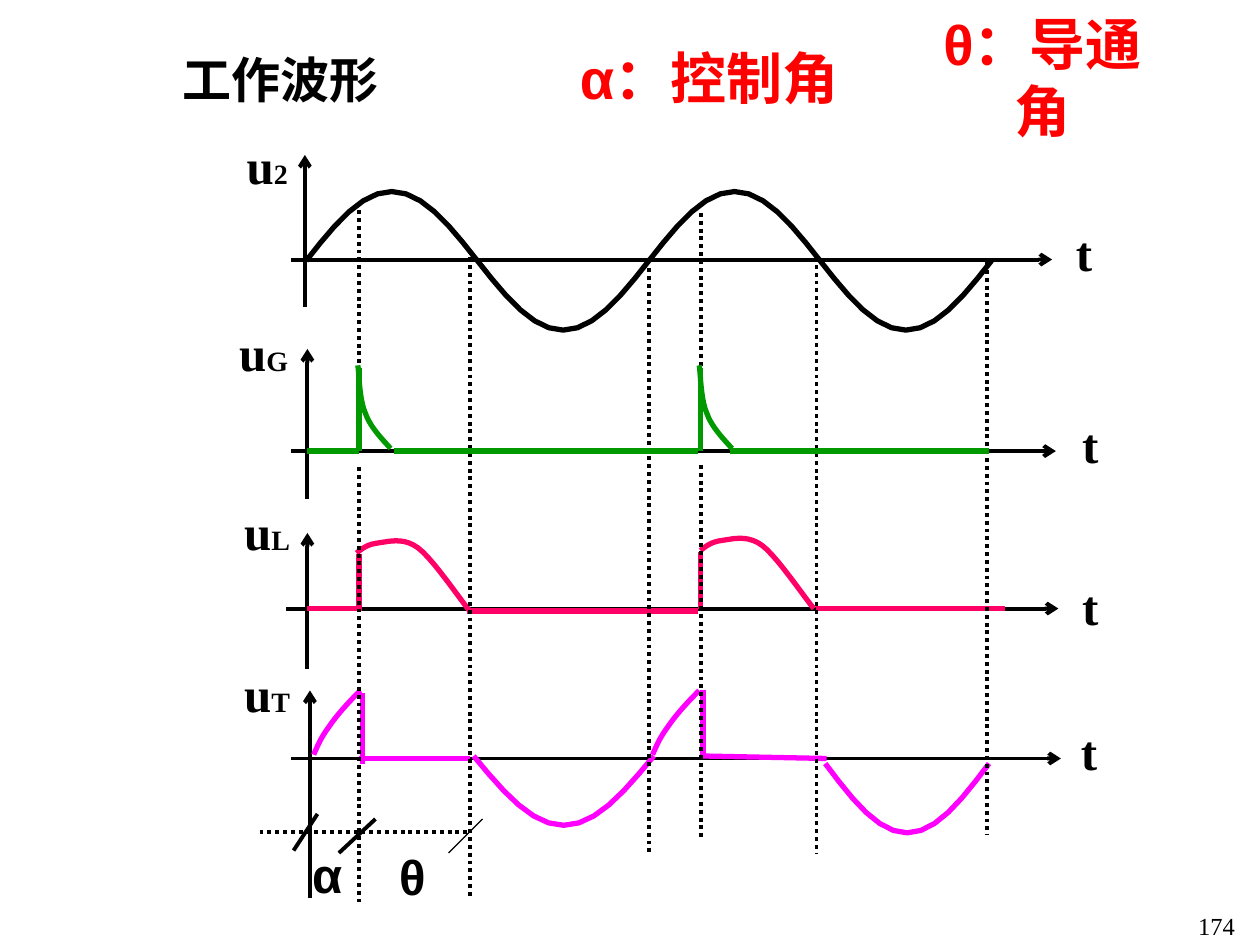
from math import pi, sin

from lxml.etree import SubElement
from pptx import Presentation
from pptx.dml.color import RGBColor
from pptx.enum.dml import MSO_LINE
from pptx.enum.shapes import MSO_CONNECTOR
from pptx.enum.text import MSO_ANCHOR, MSO_AUTO_SIZE, PP_ALIGN
from pptx.oxml.ns import qn
from pptx.util import Inches, Pt

SERIF, SANS = "Times New Roman", "Arial"
BLACK, RED, GREEN, ROSE, MAGENTA = "000000", "FF0000", "009900", "FF0066", "FF00FF"
THIN, AXIS, CURVE = 0.75, 2.25, 3

# Instants on the time axis
START, END = 2.44, 7.85
FIRE_1, FIRE_2 = 2.85, 5.56
PERIOD = FIRE_2 - FIRE_1
ZERO_1, ZERO_2, ZERO_3, ZERO_4 = 3.73, 5.15, 6.48, 7.83
# Baselines of the gate, load and thyristor voltages
GATE, LOAD, THYRISTOR = 3.58, 4.83, 6.02
ANGLE_ROW = 6.6

# subscript, label left and top, axis x, top and bottom, baseline, its left and right, t left and top
AXES = [
    ("2", 1.86, 1.03, 2.42, 1.23, 2.44, 2.06, 2.31, 8.35, 8.44, 1.72),
    ("G", 1.8, 2.51, START, 2.77, 3.96, GATE, 2.31, 8.38, 8.49, 3.24),
    ("L", 1.84, 3.93, START, 4.23, 5.31, LOAD, 2.27, 8.4, 8.49, 4.53),
    ("T", 1.84, 5.22, 2.46, 5.48, 7.13, THYRISTOR, 2.31, 8.42, 8.48, 5.68),
]
# instant, top, bottom
MARKERS = [
    (FIRE_1, 1.67, 2.9), (FIRE_2, 1.69, 2.96), (ZERO_1, 2.04, 7.13),
    (ZERO_2, 2.13, 6.77), (ZERO_3, 2.04, 6.77), (FIRE_1, 3.71, 7.17),
    (FIRE_2, 3.69, 6.67), (ZERO_4, 2.08, 6.63),
]
# Bezier control points, three per segment after the first
LOAD_PULSE = [(2.83, 4.39), (2.88, 4.35), (2.92, 4.32), (3, 4.31), (3.08, 4.3),
              (3.2, 4.26), (3.32, 4.35), (3.44, 4.44), (3.66, 4.77), (3.73, 4.85)]
BLOCKING_RISE = [(2.49, 5.99), (2.52, 5.92), (2.55, 5.85), (2.61, 5.77),
                 (2.67, 5.68), (2.76, 5.58), (2.86, 5.48)]
GATE_DECAY = [(3.1, 3.56), (3.02, 3.47), (2.94, 3.39), (2.9, 3.28),
              (2.85, 3.17), (2.85, 2.95), (2.84, 2.9)]


def color(hex_code):
    return RGBColor.from_string(hex_code)


def add_line(slide, start, end, hex_code=BLACK, width=AXIS, dotted=False, arrow=False):
    connector = slide.shapes.add_connector(
        MSO_CONNECTOR.STRAIGHT, *(Inches(v) for v in (*start, *end)))
    connector.line.color.rgb = color(hex_code)
    connector.line.width = Pt(width)
    if dotted:
        connector.line.dash_style = MSO_LINE.ROUND_DOT
    properties = connector.element.spPr
    if arrow:
        SubElement(properties.find(qn("a:ln")), qn("a:tailEnd"), type="arrow")
    SubElement(properties, qn("a:effectLst"))


def add_curve(slide, points, hex_code):
    start, *rest = [(Inches(x), Inches(y)) for x, y in points]
    builder = slide.shapes.build_freeform(*start)
    builder.add_line_segments(rest, close=False)
    curve = builder.convert_to_shape()
    curve.shadow.inherit = False
    curve.fill.background()
    curve.line.color.rgb = color(hex_code)
    curve.line.width = Pt(CURVE)


def half_wave(left, base, width, height, steps=12):
    """Points of half a sine; a negative height bends it below the base."""
    return [(left + width * i / steps, base - height * sin(pi * i / steps))
            for i in range(steps + 1)]


def bezier(controls, dx=0, dy=0, steps=10):
    """Points along joined cubic segments, moved by dx and dy."""
    points = [controls[0]]
    for first in range(0, len(controls) - 1, 3):
        segment = controls[first:first + 4]
        for i in range(1, steps + 1):
            t = i / steps
            weights = ((1 - t) ** 3, 3 * t * (1 - t) ** 2, 3 * t * t * (1 - t), t ** 3)
            points.append(tuple(sum(w * p[axis] for w, p in zip(weights, segment))
                                for axis in (0, 1)))
    return [(x + dx, y + dy) for x, y in points]


def fill_text(frame, runs, hex_code=BLACK, bold=True, align=PP_ALIGN.LEFT,
              anchor=MSO_ANCHOR.TOP, wrap=False):
    """Write runs given as (text, size, font)."""
    frame.auto_size = MSO_AUTO_SIZE.NONE
    frame.word_wrap = wrap
    frame.vertical_anchor = anchor
    paragraph = frame.paragraphs[0]
    paragraph.alignment = align
    for text, size, font in runs:
        run = paragraph.add_run()
        run.text = text
        run.font.size, run.font.name, run.font.bold = Pt(size), font, bold
        run.font.color.rgb = color(hex_code)


def add_text(slide, box, runs, **style):
    label = slide.shapes.add_textbox(*(Inches(v) for v in box))
    fill_text(label.text_frame, runs, **style)


def add_title(slide):
    title = slide.shapes.title
    title.left, title.top, title.width, title.height = (
        Inches(v) for v in (1.35, 0.34, 2, 0.57))
    fill_text(title.text_frame, [("工作波形", 28, SERIF)])


def add_axes(slide):
    for subscript, left, top, x, high, low, base, begin, end, t_left, t_top in AXES:
        add_line(slide, (x, low), (x, high), arrow=True)
        add_line(slide, (begin, base), (end, base), arrow=True)
        add_text(slide, (left, top, 0.56, 0.57), [("u", 28, SERIF), (subscript, 16, SERIF)])
        add_text(slide, (t_left, t_top, 0.33, 0.57), [("t", 28, SERIF)])


def add_supply_wave(slide):
    for half in range(4):
        height = 0.55 if half % 2 == 0 else -0.55
        add_curve(slide, half_wave(2.43 + 1.36 * half, 2.07, 1.36, height), BLACK)


def add_load_wave(slide):
    for fire, dx, dy in ((FIRE_1, 0, 0), (FIRE_2, 2.73, -0.02)):
        add_curve(slide, bezier(LOAD_PULSE, dx, dy), ROSE)
        add_line(slide, (fire, 4.4 + dy), (fire, 4.85 + dy), ROSE, CURVE)
    for begin, end, y in ((START, 2.83, LOAD), (3.71, 5.54, 4.85), (ZERO_3, 7.98, LOAD)):
        add_line(slide, (begin, y), (end, y), ROSE, CURVE)


def add_thyristor_wave(slide):
    for dx in (0, 2.69):
        add_curve(slide, bezier(BLOCKING_RISE, dx), MAGENTA)
    for start, end in (((2.88, 5.5), (2.88, 6.06)),
                       ((5.58, 5.48), (5.58, THYRISTOR)),
                       ((FIRE_1, THYRISTOR), (ZERO_1, THYRISTOR)),
                       ((5.58, 6), (6.56, THYRISTOR))):
        add_line(slide, start, end, MAGENTA, CURVE)
    add_curve(slide, half_wave(3.76, 6, 1.43, -0.55), MAGENTA)
    add_curve(slide, half_wave(6.55, 6.06, 1.3, -0.55), MAGENTA)


def add_markers(slide):
    for x, top, bottom in MARKERS:
        add_line(slide, (x, top), (x, bottom), dotted=True)


def add_gate_wave(slide):
    for dx in (0, PERIOD):
        add_line(slide, (FIRE_1 + dx, 2.92), (FIRE_1 + dx, GATE), GREEN, CURVE)
        add_curve(slide, bezier(GATE_DECAY, dx), GREEN)
    for begin, end in ((START, FIRE_1), (3.13, 5.54), (5.79, END)):
        add_line(slide, (begin, GATE), (end, GATE), GREEN, CURVE)


def add_angles(slide):
    add_line(slide, (2.06, ANGLE_ROW), (ZERO_1, ANGLE_ROW), dotted=True)
    for start, end, width in (((2.52, 6.46), (2.33, 6.75), AXIS),
                              ((2.98, 6.5), (2.69, 6.77), AXIS),
                              ((3.83, 6.5), (3.56, 6.77), THIN)):
        add_line(slide, start, end, width=width)
    for letter, left, top in (("α", 2.38, 6.65), ("θ", 3.07, 6.67)):
        add_text(slide, (left, top, 0.44, 0.57), [(letter, 28, SANS)])
    for letter, meaning, left, width in (("α", "：控制角", 4.5, 2.26),
                                         ("θ", "：导通角", 7.17, 2.21)):
        add_text(slide, (left, 0.29, width, 0.64),
                 [(letter, 32, SANS), (meaning, 32, SERIF)], hex_code=RED,
                 align=PP_ALIGN.CENTER, anchor=MSO_ANCHOR.MIDDLE, wrap=True)


def main():
    deck = Presentation()
    deck.slide_width, deck.slide_height = Inches(10), Inches(7.5)
    slide = deck.slides.add_slide(deck.slide_layouts[5])
    add_title(slide)
    for add_part in (add_axes, add_supply_wave, add_load_wave, add_thyristor_wave,
                     add_markers, add_gate_wave, add_angles):
        add_part(slide)
    add_text(slide, (8.69, 7.18, 1.93, 0.33), [("174", 14, SERIF)], bold=False,
             align=PP_ALIGN.CENTER, anchor=MSO_ANCHOR.MIDDLE, wrap=True)
    deck.save("out.pptx")


if __name__ == "__main__":
    main()
